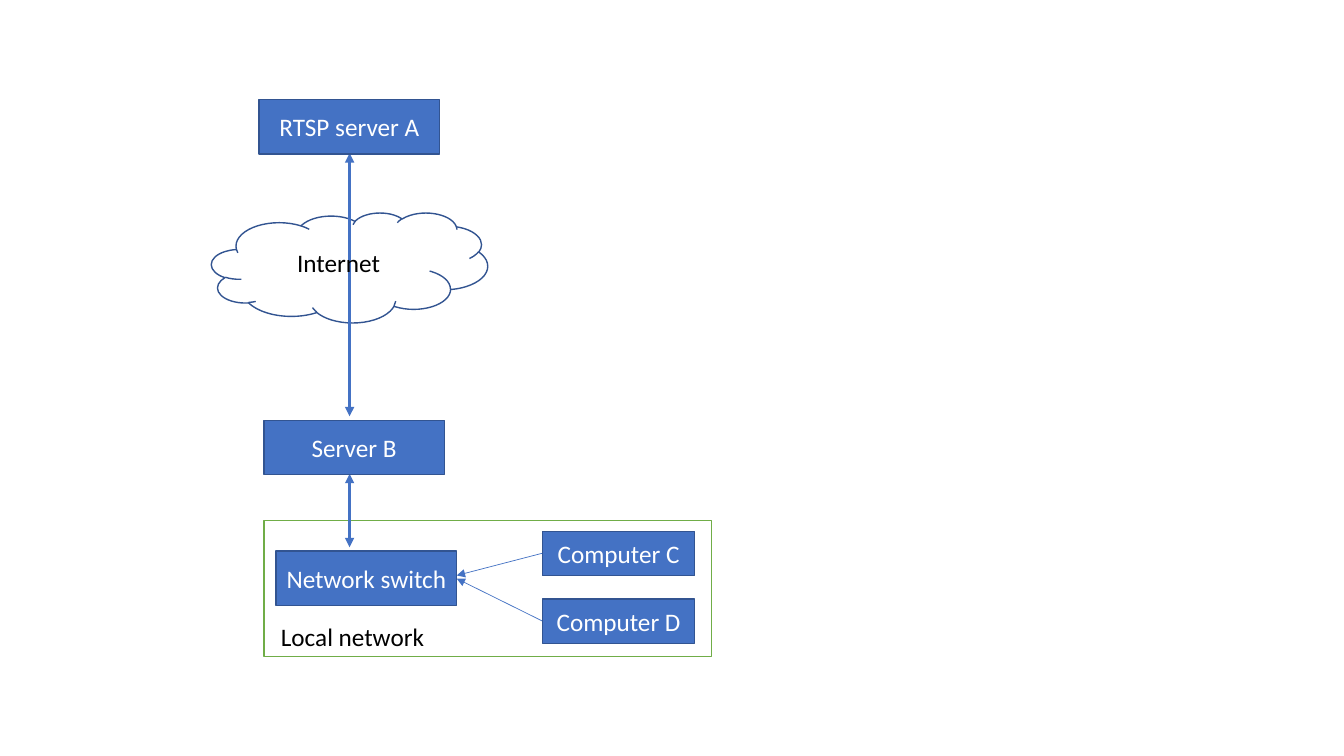
from typing import NamedTuple

from pptx import Presentation
from pptx.dml.color import RGBColor
from pptx.enum.shapes import MSO_CONNECTOR, MSO_SHAPE
from pptx.enum.text import MSO_ANCHOR, MSO_AUTO_SIZE, PP_ALIGN
from pptx.oxml.ns import qn
from pptx.util import Cm, Pt
from lxml import etree

RECT, CLOUD = MSO_SHAPE.RECTANGLE, MSO_SHAPE.CLOUD
STRAIGHT = MSO_CONNECTOR.STRAIGHT
MIDDLE, CENTER = MSO_ANCHOR.MIDDLE, PP_ALIGN.CENTER
GROW = MSO_AUTO_SIZE.SHAPE_TO_FIT_TEXT

BLUE = RGBColor(0x44, 0x72, 0xC4)
DARK_BLUE = RGBColor(0x32, 0x54, 0x91)
GREEN = RGBColor(0x70, 0xAD, 0x47)
WHITE = RGBColor(0xFF, 0xFF, 0xFF)
BLACK = RGBColor(0, 0, 0)
FONT, FONT_SIZE = "Calibri", Pt(18)

# Lengths in centimetres
SERVER_W, SERVER_H = 4.55, 1.37
COMPUTER_W, COMPUTER_H = 3.84, 1.12
COMPUTER_X, SWITCH_X = 13.67, 6.96
SWITCH_RIGHT = SWITCH_X + SERVER_W
TRUNK_X = 8.81
LABEL_H = 1.02


class Area(NamedTuple):
    x: float
    y: float
    w: float
    h: float


class Node(NamedTuple):
    text: str
    area: Area


class Link(NamedTuple):
    x1: float
    y1: float
    x2: float
    y2: float
    width: float
    ends: tuple[str, ...]


LOCAL_ZONE = Area(6.65, 13.11, 11.28, 3.43)
INTERNET_CLOUD = Area(5.33, 5.36, 6.96, 2.77)
NODES = [
    Node("RTSP server A", Area(6.53, 2.51, SERVER_W, SERVER_H)),
    Node("Server B", Area(6.65, 10.59, SERVER_W, SERVER_H)),
    Node("Network switch", Area(SWITCH_X, 13.89, SERVER_W, SERVER_H)),
    Node("Computer C", Area(COMPUTER_X, 13.39, COMPUTER_W, COMPUTER_H)),
    Node("Computer D", Area(COMPUTER_X, 15.09, COMPUTER_W, COMPUTER_H)),
]
LABELS = [
    Node("Internet", Area(7.24, 6.12, 3.96, LABEL_H)),
    Node("Local network", Area(6.83, 15.52, 4.39, LABEL_H)),
]
BOTH_ENDS, END_ONLY = ("a:headEnd", "a:tailEnd"), ("a:tailEnd",)
LINKS = [
    Link(TRUNK_X, 3.86, TRUNK_X, 10.49, 2.25, BOTH_ENDS),
    Link(TRUNK_X, 11.94, TRUNK_X, 13.79, 2.25, BOTH_ENDS),
    Link(COMPUTER_X, 13.94, SWITCH_RIGHT, 14.5, 0.5, END_ONLY),
    Link(COMPUTER_X, 15.65, SWITCH_RIGHT, 14.58, 0.5, END_ONLY),
]


def add_outline(shapes, kind, area: Area, fill: RGBColor | None, border: RGBColor):
    outline = shapes.add_shape(kind, *map(Cm, area))
    outline.shadow.inherit = False
    if fill is None:
        outline.fill.background()
    else:
        outline.fill.solid()
        outline.fill.fore_color.rgb = fill
    outline.line.color.rgb = border
    outline.line.width = Pt(1)
    return outline


def write(paragraph, text: str, color: RGBColor) -> None:
    run = paragraph.add_run()
    run.text = text
    run.font.name = FONT
    run.font.size = FONT_SIZE
    run.font.color.rgb = color


def add_node(shapes, node: Node) -> None:
    frame = add_outline(shapes, RECT, node.area, BLUE, DARK_BLUE).text_frame
    frame.word_wrap = True
    frame.margin_left = frame.margin_right = Cm(0.1)
    frame.vertical_anchor = MIDDLE
    frame.paragraphs[0].alignment = CENTER
    write(frame.paragraphs[0], node.text, WHITE)


def add_label(shapes, label: Node) -> None:
    frame = shapes.add_textbox(*map(Cm, label.area)).text_frame
    frame.word_wrap = True
    frame.auto_size = GROW
    write(frame.paragraphs[0], label.text, BLACK)


def add_link(shapes, link: Link) -> None:
    arrow = shapes.add_connector(STRAIGHT, *map(Cm, link[:4]))
    arrow.line.color.rgb = BLUE
    arrow.line.width = Pt(link.width)
    properties = arrow.element.spPr
    stroke = properties.find(qn("a:ln"))
    for end in link.ends:
        etree.SubElement(stroke, qn(end), type="triangle")
    etree.SubElement(properties, qn("a:effectLst"))


def main() -> None:
    deck = Presentation()
    deck.slide_width, deck.slide_height = Cm(33.87), Cm(19.05)
    shapes = deck.slides.add_slide(deck.slide_layouts[6]).shapes

    # Local network area and Internet cloud
    add_outline(shapes, RECT, LOCAL_ZONE, WHITE, GREEN)
    add_outline(shapes, CLOUD, INTERNET_CLOUD, None, DARK_BLUE)

    # Connections, devices and captions
    for link in LINKS:
        add_link(shapes, link)
    for node in NODES:
        add_node(shapes, node)
    for label in LABELS:
        add_label(shapes, label)

    deck.save("out.pptx")


if __name__ == "__main__":
    main()
